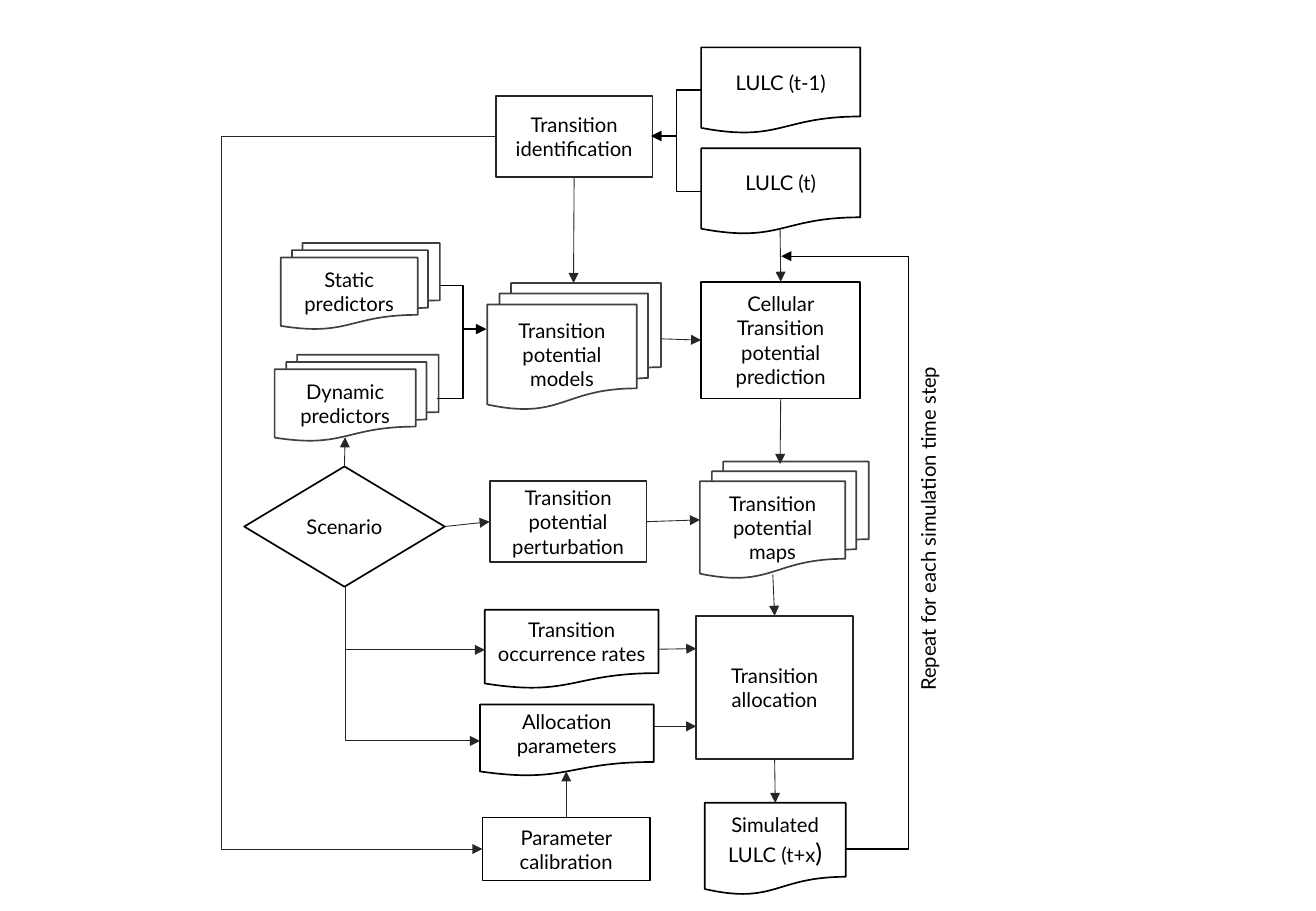
from pptx import Presentation
from pptx.util import Inches, Pt
from pptx.dml.color import RGBColor
from pptx.enum.shapes import MSO_SHAPE as SHAPE, MSO_CONNECTOR as CONN
from pptx.enum.text import PP_ALIGN, MSO_ANCHOR, MSO_AUTO_SIZE
from pptx.oxml.ns import qn
from lxml import etree

COLORS = {"black": "000000", "dark": "262626", "gray": "404040", "white": "FFFFFF"}
FONT = "Lato"


def rgb(name):
    return RGBColor.from_string(COLORS[name])


def write(p, text, size=12):
    r = p.add_run()
    r.text = text
    for key, value in {"name": FONT, "size": Pt(size)}.items():
        setattr(r.font, key, value)
    r.font.color.rgb = rgb("black")


prs = Presentation()
prs.slide_width, prs.slide_height = Inches(10.83), Inches(7.5)
s = prs.slides.add_slide(prs.slide_layouts[6])

# Flowchart nodes: name, kind, left, top, width, height, line colour, paragraphs
DECISION, PROCESS = SHAPE.FLOWCHART_DECISION, SHAPE.FLOWCHART_PROCESS
DOC, MULTI = SHAPE.FLOWCHART_DOCUMENT, SHAPE.FLOWCHART_MULTIDOCUMENT
NODES = [
    ("scenario", DECISION, 2.01, 3.84, 1.65, 0.99, "black", ["Scenario"]),
    ("dynamic", MULTI, 2.26, 2.92, 1.35, 0.71, "gray", ["Dynamic predictors"]),
    ("static", MULTI, 2.31, 2, 1.31, 0.71, "gray", ["Static predictors"]),
    ("models", MULTI, 4.01, 2.33, 1.43, 1.04, "gray", ["Transition potential models"]),
    ("maps", MULTI, 5.76, 3.8, 1.39, 0.96, "gray", ["Transition potential maps"]),
    ("simulated", DOC, 5.8, 6.61, 1.16, 0.76, "black", ["Simulated LULC (t+x"]),
    ("current", DOC, 5.77, 1.22, 1.31, 0.71, "black", ["LULC (t)"]),
    ("previous", DOC, 5.77, 0.39, 1.31, 0.71, "black", ["LULC (t-1)"]),
    ("allocation", PROCESS, 5.73, 5.07, 1.29, 1.18, "dark", ["Transition", "allocation"]),
    ("prediction", PROCESS, 5.77, 2.32, 1.31, 0.96, "black",
     ["Cellular Transition potential prediction"]),
    ("identification", PROCESS, 4.08, 0.79, 1.29, 0.67, "dark",
     ["Transition", "identification"]),
    ("parameters", DOC, 3.95, 5.8, 1.43, 0.59, "black", ["Allocation", "parameters"]),
    ("rates", DOC, 3.99, 5.02, 1.43, 0.65, "black", ["Transition occurrence rates"]),
    ("perturbation", PROCESS, 4.03, 3.96, 1.29, 0.67, "dark",
     ["Transition potential perturbation"]),
    ("calibration", PROCESS, 3.97, 6.73, 1.38, 0.52, "black", ["Parameter calibration"]),
]
nodes = {}
for name, kind, x, y, w, h, line, lines in NODES:
    sp = s.shapes.add_shape(kind, Inches(x), Inches(y), Inches(w), Inches(h))
    sp.shadow.inherit = False
    sp.fill.solid()
    sp.fill.fore_color.rgb = rgb("white")
    sp.line.color.rgb = rgb(line)
    sp.line.width = Pt(1)
    tf = sp.text_frame
    tf.word_wrap = True
    tf.vertical_anchor = MSO_ANCHOR.MIDDLE
    for i, text in enumerate(lines):
        p = tf.add_paragraph() if i else tf.paragraphs[0]
        p.alignment = PP_ALIGN.CENTER
        write(p, text)
    nodes[name] = sp
write(nodes["simulated"].text_frame.paragraphs[0], ")", 15.2)

# Arrows: start, end, x of the vertical run (None if straight), colour, width,
# joined start and end as (node, side)
TOP, LEFT, BOTTOM, RIGHT = range(4)
ARROWS = [
    ((4.72, 1.46), (4.72, 2.33), None, "dark", 0.5, ("identification", BOTTOM), None),
    ((2.84, 3.84), (2.84, 3.6), None, "dark", 0.5, ("scenario", TOP), None),
    ((6.42, 1.89), (6.42, 2.32), None, "dark", 0.5, None, ("prediction", TOP)),
    ((5.32, 4.29), (5.76, 4.28), None, "dark", 0.5, ("perturbation", RIGHT), None),
    ((5.42, 5.34), (5.73, 5.34), None, "dark", 0.5, ("rates", RIGHT), None),
    ((6.36, 4.73), (6.38, 5.07), None, "dark", 0.5, None, ("allocation", TOP)),
    ((6.42, 3.28), (6.42, 3.82), None, "dark", 0.5, ("prediction", BOTTOM), None),
    ((6.38, 6.25), (6.38, 6.61), None, "dark", 0.5,
     ("allocation", BOTTOM), ("simulated", TOP)),
    ((5.45, 2.79), (5.77, 2.79), None, "dark", 0.5, None, ("prediction", LEFT)),
    ((5.38, 5.98), (5.73, 5.98), None, "dark", 0.5, None, None),
    ((3.66, 4.33), (4.03, 4.34), None, "dark", 0.5,
     ("scenario", RIGHT), ("perturbation", LEFT)),
    ((4.66, 6.73), (4.66, 6.35), None, "dark", 0.5, ("calibration", TOP), None),
    ((2.84, 4.83), (3.99, 5.35), 2.84, "dark", 0.5, None, None),
    ((2.84, 4.83), (3.95, 6.1), 2.84, "dark", 0.5, None, None),
    ((3.62, 2.35), (4, 2.71), 3.81, "black", 0.75, None, None),
    ((3.6, 3.28), (4, 2.71), 3.81, "black", 0.75, None, None),
    ((5.77, 0.74), (5.36, 1.12), 5.57, "black", 0.75, None, None),
    ((5.77, 1.58), (5.36, 1.12), 5.57, "black", 0.75, None, None),
    ((6.96, 6.99), (6.43, 2.11), 7.48, "black", 0.75, None, None),
    ((4.08, 1.12), (3.97, 6.99), 1.82, "dark", 0.5, None, None),
]
for start, end, bend, color, width, begin_at, end_at in ARROWS:
    kind = CONN.STRAIGHT if bend is None else CONN.ELBOW
    c = s.shapes.add_connector(kind, *map(Inches, start + end))
    if begin_at:
        c.begin_connect(nodes[begin_at[0]], begin_at[1])
    if end_at:
        c.end_connect(nodes[end_at[0]], end_at[1])
    c.line.color.rgb = rgb(color)
    c.line.width = Pt(width)
    sppr = c._element.spPr
    etree.SubElement(sppr.find(qn("a:ln")), qn("a:tailEnd"), type="triangle")
    etree.SubElement(sppr, qn("a:effectLst"))
    if bend is not None:
        share = round((bend - start[0]) / (end[0] - start[0]) * 100000)
        guides = sppr.find(qn("a:prstGeom")).get_or_add_avLst()
        etree.SubElement(guides, qn("a:gd"), name="adj1", fmla=f"val {share}")

# Loop label
label = s.shapes.add_textbox(Inches(6.18), Inches(4.18), Inches(2.91), Inches(0.3))
label.rotation = 270
tf = label.text_frame
tf.word_wrap = False
tf.auto_size = MSO_AUTO_SIZE.SHAPE_TO_FIT_TEXT
write(tf.paragraphs[0], "Repeat for each simulation time step")

prs.save("out.pptx")
